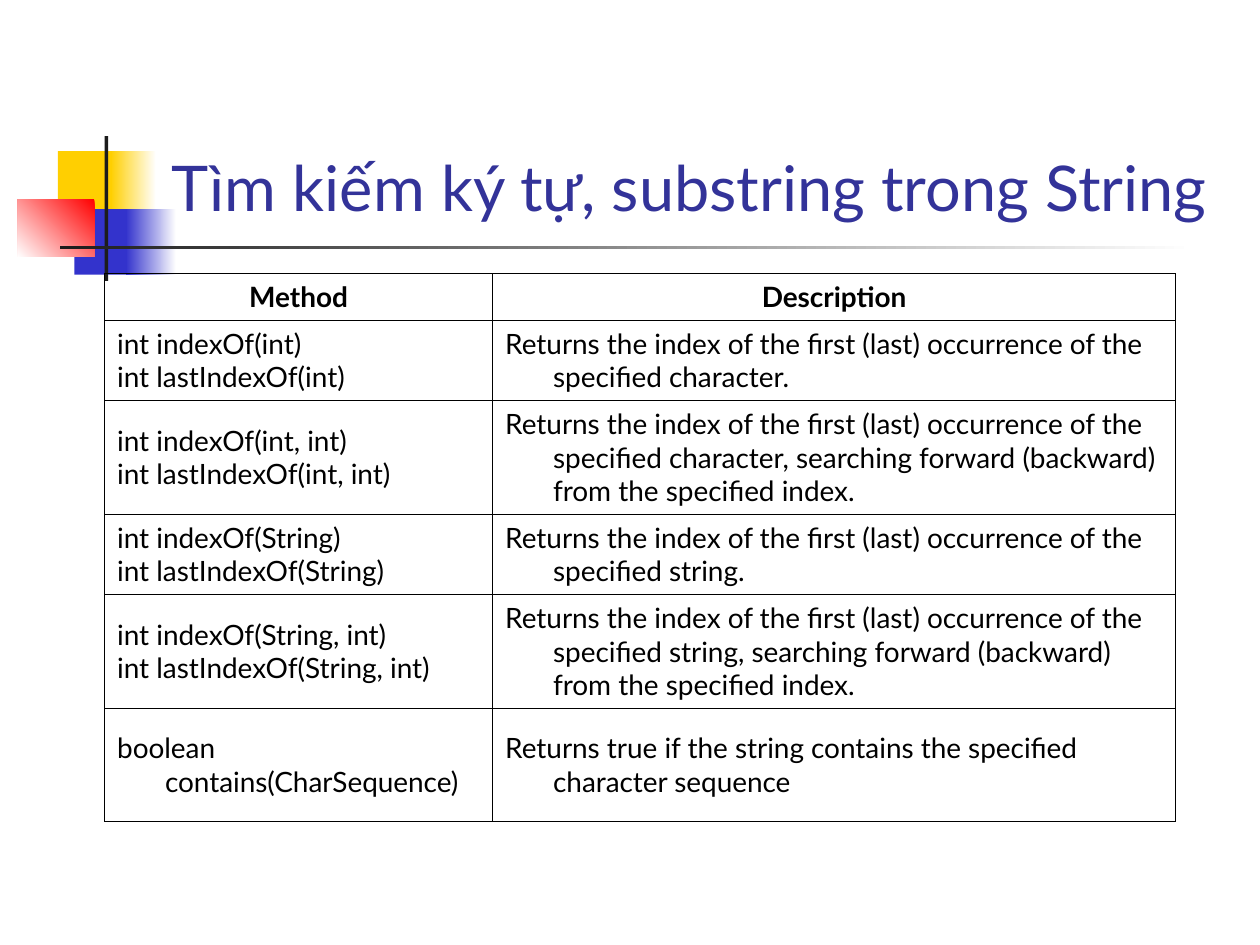
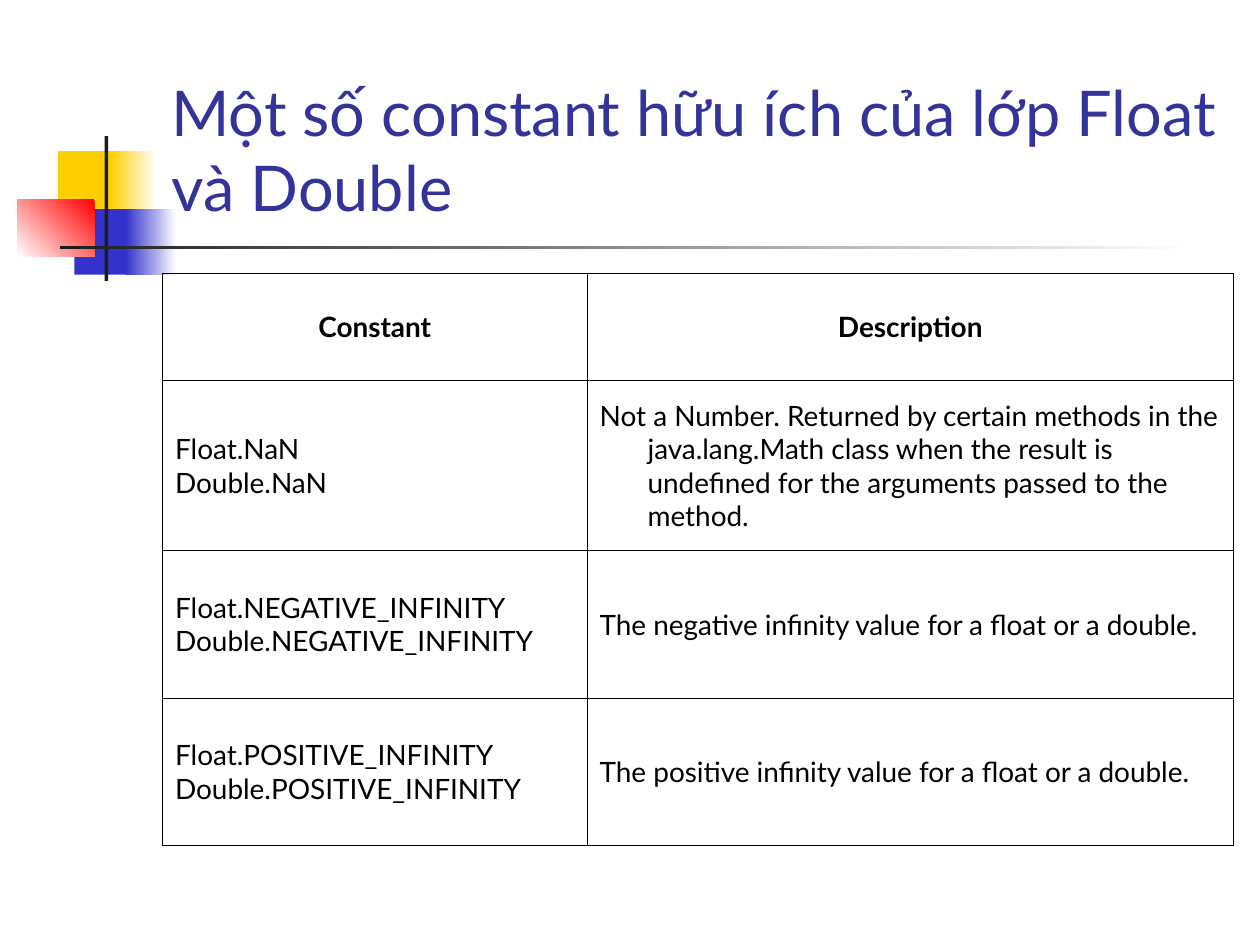
"""Build two slides of Java reference tables on a shared layout."""
from lxml import etree
from pptx import Presentation
from pptx.dml.color import RGBColor
from pptx.enum.text import MSO_ANCHOR, MSO_AUTO_SIZE, PP_ALIGN
from pptx.enum.shapes import MSO_SHAPE
from pptx.oxml.ns import qn
from pptx.util import Inches, Pt

RECT = MSO_SHAPE.RECTANGLE
LEFT, CENTER = PP_ALIGN.LEFT, PP_ALIGN.CENTER
MIDDLE, BOTTOM = MSO_ANCHOR.MIDDLE, MSO_ANCHOR.BOTTOM
NO_FIT = MSO_AUTO_SIZE.NONE

FONT = "Lato"
HEX = {"gold": "FFCF01", "blue": "3333CC", "red": "FF0000", "ink": "1C1C1C",
       "white": "FFFFFF", "navy": "333399", "black": "000000"}
WIDE, HIGH = 10, 7.5
TITLE_BOX = (1.26, 0.23, 8.52, 1.6)
TABLE_TOP, TABLE_WIDE = 2.17, 8.5
HANG, RULE = 0.38, 0.34

DECOR = [
    ((0.46, 1.2, 0.48, 0.52), ["gold"], 0),
    ((0.88, 1.2, 0.36, 0.52), ["white", "gold"], 180),
    ((0.59, 1.66, 0.46, 0.52), ["blue"], 0),
    ((1, 1.66, 0.4, 0.52), ["white", "blue"], 180),
    ((0.14, 1.58, 0.61, 0.46), ["red", "white"], 225),
    ((0.83, 1.08, 0.03, 1.15), ["ink"], 0),
    ((0.48, 1.95, 9, 0.03), ["white", "ink"], 180),
]

FIND = "Returns the index of the first (last) occurrence of the specified "
SEEK = ", searching forward (backward) from the specified index."
PAGES = [
    {"title": "Tìm kiếm ký tự, substring trong String",
     "left": 0.83, "split": 3.08,
     "rows": [
         (0.37, ["Method"], "Description"),
         (0.64, ["int indexOf(int)", "int lastIndexOf(int)"],
          FIND + "character."),
         (0.9, ["int indexOf(int, int)", "int lastIndexOf(int, int)"],
          FIND + "character" + SEEK),
         (0.64, ["int indexOf(String)", "int lastIndexOf(String)"],
          FIND + "string."),
         (0.9, ["int indexOf(String, int)", "int lastIndexOf(String, int)"],
          FIND + "string" + SEEK),
         (0.9, ["boolean contains(CharSequence)"],
          "Returns true if the string contains the specified "
          "character sequence"),
     ]},
    {"title": "Một số constant hữu ích của lớp Float và Double",
     "left": 1.29, "split": 3.37,
     "rows": [
         (0.85, ["Constant"], "Description"),
         (1.35, ["Float.NaN", "Double.NaN"],
          "Not a Number. Returned by certain methods in the java.lang.Math "
          "class when the result is undefined for the arguments passed to "
          "the method."),
         (1.17, ["Float.NEGATIVE_INFINITY", "Double.NEGATIVE_INFINITY"],
          "The negative infinity value for a float or a double."),
         (1.17, ["Float.POSITIVE_INFINITY", "Double.POSITIVE_INFINITY"],
          "The positive infinity value for a float or a double."),
     ]},
]


def rgb(name):
    return RGBColor.from_string(HEX[name])


def write(para, text, size, hue, bold=False):
    run = para.add_run()
    run.text = text
    font = run.font
    font.name, font.size, font.bold = FONT, Pt(size), bold
    font.color.rgb = rgb(hue)


def paint(fill, hues, angle):
    if len(hues) == 1:
        fill.solid()
        fill.fore_color.rgb = rgb(hues[0])
        return
    fill.gradient()
    fill.gradient_angle = angle
    for stop, hue in zip(fill.gradient_stops, hues):
        stop.color.rgb = rgb(hue)


def dress(layout, slide):
    for box, hues, angle in DECOR:
        shape = slide.shapes.add_shape(RECT, *map(Inches, box))
        shape.shadow.inherit = False
        shape.line.fill.background()
        paint(shape.fill, hues, angle)
        layout.shapes.element.append(shape.element)


def edge(cell):
    props = cell._tc.get_or_add_tcPr()
    for side in ("lnL", "lnR", "lnT", "lnB"):
        line = etree.SubElement(props, qn("a:" + side), w=str(Pt(RULE)))
        fill = etree.SubElement(line, qn("a:solidFill"))
        etree.SubElement(fill, qn("a:srgbClr"), val=HEX["black"])


def fill_cell(cell, lines, head):
    edge(cell)
    cell.fill.background()
    cell.vertical_anchor = MIDDLE
    frame = cell.text_frame
    for i, text in enumerate(lines):
        para = frame.add_paragraph() if i else frame.paragraphs[0]
        para.alignment = CENTER if head else LEFT
        props = para._p.get_or_add_pPr()
        props.set("marL", str(Inches(HANG)))
        props.set("indent", str(-Inches(HANG)))
        write(para, text, 16, "black", head)


def add_grid(slide, page):
    rows, split = page["rows"], page["split"]
    tall = sum(row[0] for row in rows)
    box = (page["left"], TABLE_TOP, TABLE_WIDE, tall)
    table = slide.shapes.add_table(len(rows), 2, *map(Inches, box)).table
    table.first_row = table.horz_banding = False
    for col, wide in zip(table.columns, (split, TABLE_WIDE - split)):
        col.width = Inches(wide)
    for i, (high, names, note) in enumerate(rows):
        table.rows[i].height = Inches(high)
        for j, lines in enumerate((names, [note])):
            fill_cell(table.cell(i, j), lines, i == 0)


def add_title(slide, text):
    title = slide.shapes.title
    title.left, title.top, title.width, title.height = map(Inches, TITLE_BOX)
    frame = title.text_frame
    frame.word_wrap, frame.auto_size = True, NO_FIT
    frame.vertical_anchor = BOTTOM
    para = frame.paragraphs[0]
    para.alignment = LEFT
    write(para, text, 36, "navy")


def main():
    deck = Presentation()
    deck.slide_width, deck.slide_height = Inches(WIDE), Inches(HIGH)
    layout = deck.slide_layouts.get_by_name("Title Only")
    for page in PAGES:
        slide = deck.slides.add_slide(layout)
        add_title(slide, page["title"])
        add_grid(slide, page)
    dress(layout, deck.slides[0])
    deck.save("out.pptx")


if __name__ == "__main__":
    main()
